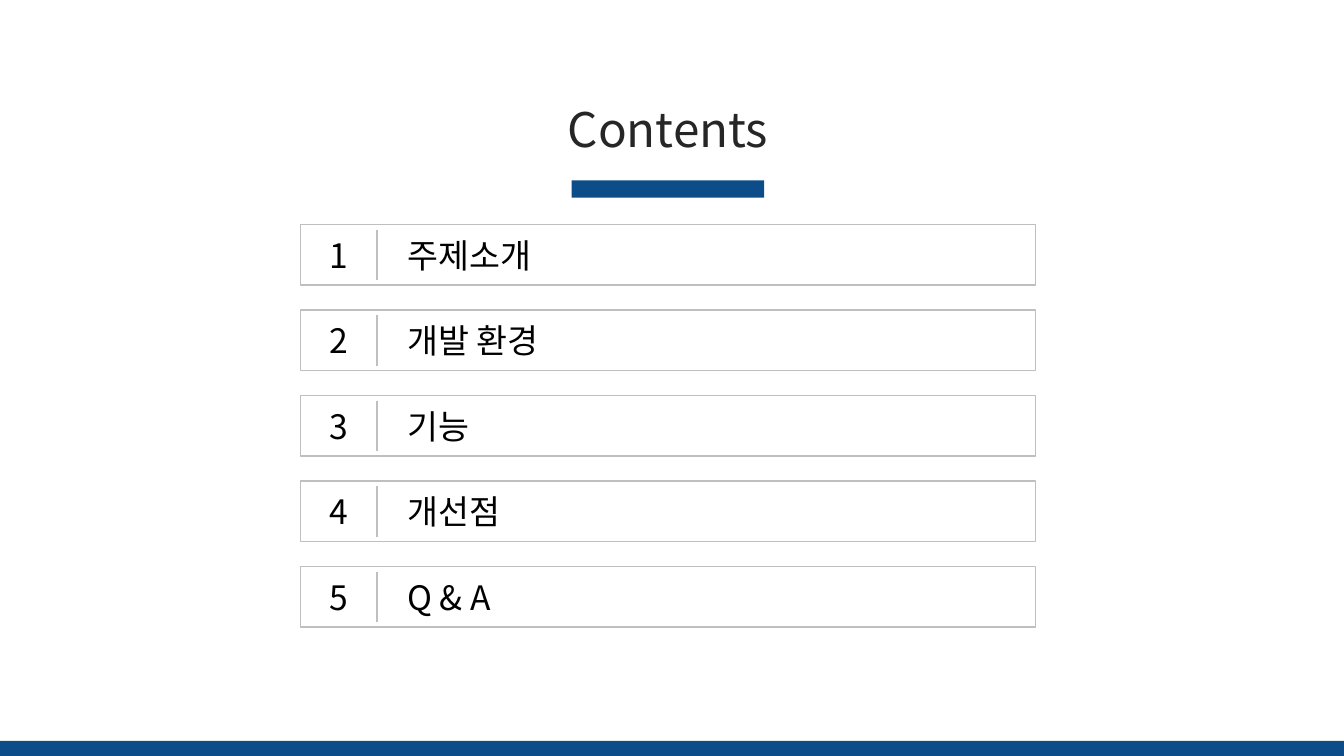
from lxml import etree
from pptx import Presentation
from pptx.dml.color import RGBColor
from pptx.enum.shapes import MSO_CONNECTOR, MSO_SHAPE
from pptx.enum.text import MSO_ANCHOR, MSO_AUTO_SIZE, PP_ALIGN
from pptx.oxml.ns import qn
from pptx.util import Inches, Pt

RECT = MSO_SHAPE.RECTANGLE
LINE = MSO_CONNECTOR.STRAIGHT
MIDDLE = MSO_ANCHOR.MIDDLE
LEFT, CENTER = PP_ALIGN.LEFT, PP_ALIGN.CENTER
FONT = "Noto Sans CJK KR"
BLUE, GRAY, DARK, BLACK = "0C4C89", "BFBFBF", "262626", "000000"
WIDTH, HEIGHT = 13.33, 7.5
TOPICS = ["주제소개", "개발 환경", "기능", "개선점", "Q & A"]


def color(code):
    return RGBColor.from_string(code)


def write(shape, text, size=24, ink=BLACK, align=LEFT, inset=0.1):
    frame = shape.text_frame
    frame.word_wrap = True
    frame.auto_size = MSO_AUTO_SIZE.NONE
    frame.vertical_anchor = MIDDLE
    frame.margin_left = Inches(inset)
    frame.margin_right = Inches(0.1)
    frame.margin_top = frame.margin_bottom = Inches(0.05)
    para = frame.paragraphs[0]
    para.alignment = align
    para.line_spacing = 1.0
    run = para.add_run()
    run.text = text
    run.font.size = Pt(size)
    run.font.name = FONT
    run.font.color.rgb = color(ink)
    # Korean letters take their font from the East Asian slot
    etree.SubElement(run.font._element, qn("a:ea"), typeface=FONT)


def add_box(shapes, x, y, w, h, fill=None, line=None):
    box = shapes.add_shape(RECT, Inches(x), Inches(y), Inches(w), Inches(h))
    box.shadow.inherit = False
    if fill:
        box.fill.solid()
        box.fill.fore_color.rgb = color(fill)
    else:
        box.fill.background()
    if line:
        box.line.color.rgb = color(line)
        box.line.width = Pt(1)
    else:
        box.line.fill.background()


def add_rule(shapes, x, y, h):
    rule = shapes.add_connector(
        LINE, Inches(x), Inches(y), Inches(x), Inches(y + h))
    rule.line.color.rgb = color(GRAY)
    rule.line.width = Pt(1)
    etree.SubElement(rule._element.spPr, qn("a:effectLst"))


def add_text(shapes, text, x, y, w, h, **style):
    box = shapes.add_textbox(Inches(x), Inches(y), Inches(w), Inches(h))
    write(box, text, **style)


def add_head(slide, x, y, w, h):
    # Title with a bar centred under it
    title = slide.shapes.title
    title.left, title.top = Inches(x), Inches(y)
    title.width, title.height = Inches(w), Inches(h)
    write(title, "Contents", size=34, ink=DARK, align=CENTER)
    bar = 1.91
    add_box(slide.shapes, x + (w - bar) / 2, y + 0.85, bar, 0.17, fill=BLUE)


def add_row(slide, number, topic, x, y, w, h):
    # Frame, divider, number and topic
    shapes = slide.shapes.add_group_shape().shapes
    add_box(shapes, x, y, w, h, line=GRAY)
    add_rule(shapes, x + 0.76, y + 0.05, h - 0.1)
    add_text(shapes, str(number), x + 0.18, y + 0.05, 0.4, h - 0.1,
             align=CENTER)
    add_text(shapes, topic, x + 0.88, y + 0.05, w - 1.17, h - 0.1, inset=0.18)


def add_list(slide, x, y, w, h):
    # Rows spread evenly over the given height
    row = 0.6
    step = (h - row) / (len(TOPICS) - 1)
    for i, topic in enumerate(TOPICS):
        add_row(slide, i + 1, topic, x, y + i * step, w, row)


def add_foot(slide, x, y, w, h):
    # Bar along the bottom edge
    add_box(slide.shapes, x, y, w, h, fill=BLUE)


def main():
    deck = Presentation()
    deck.slide_width, deck.slide_height = Inches(WIDTH), Inches(HEIGHT)
    slide = deck.slides.add_slide(deck.slide_layouts.get_by_name("Title Only"))
    add_head(slide, 4.3, 0.94, 4.65, 0.67)
    add_list(slide, 2.98, 2.23, 7.29, 3.99)
    add_foot(slide, 0, HEIGHT - 0.15, WIDTH, 0.15)
    deck.save("out.pptx")


if __name__ == "__main__":
    main()
